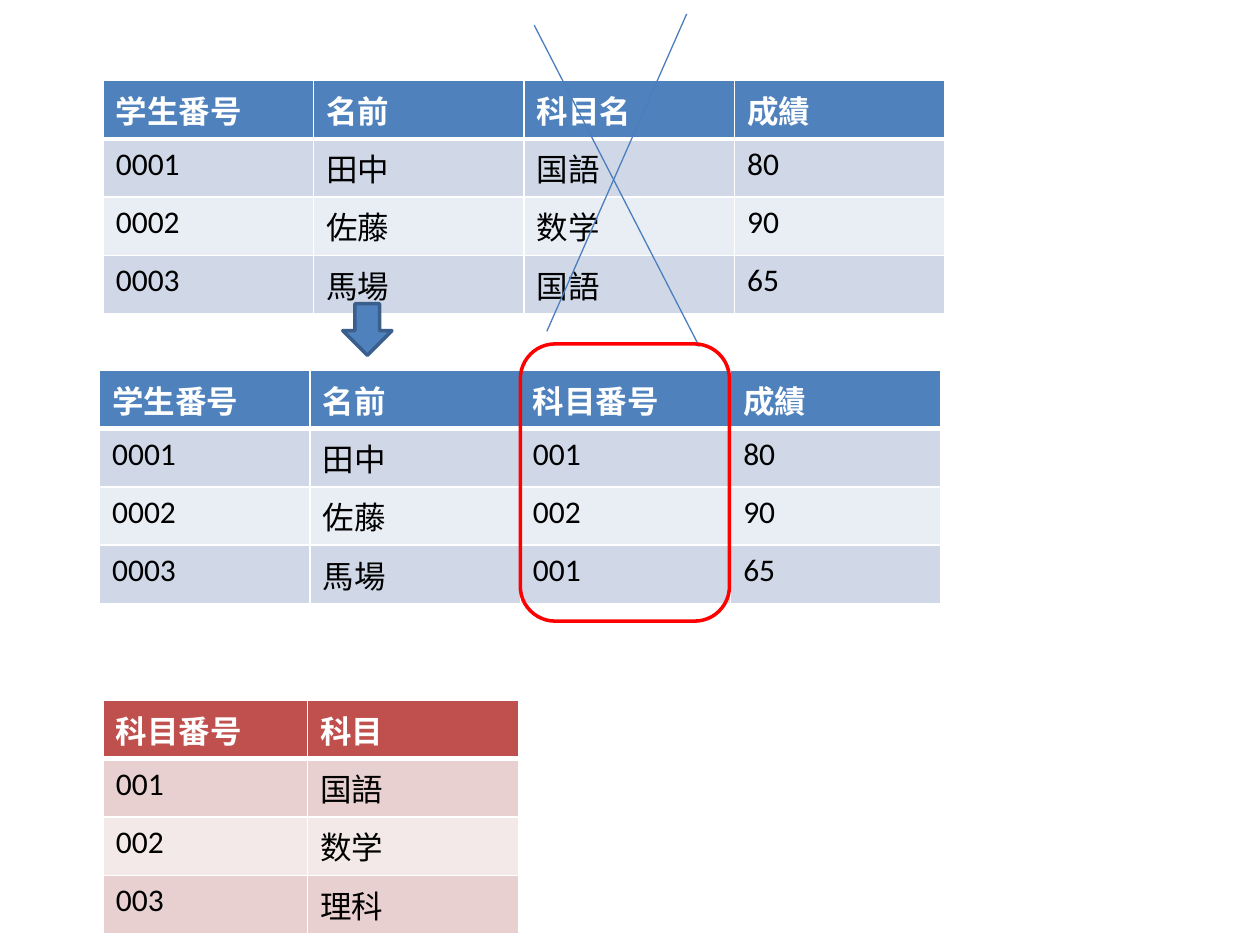
from lxml.etree import SubElement as Sub
from pptx import Presentation
from pptx.dml.color import RGBColor as RGB
from pptx.enum.shapes import MSO_CONNECTOR as Link, MSO_SHAPE as Kind
from pptx.oxml.ns import qn
from pptx.util import Inches, Pt

WHITE = RGB(0xFF, 0xFF, 0xFF)
BLACK = RGB(0, 0, 0)
RED = RGB(0xFF, 0, 0)
BLUE = RGB(0x4F, 0x81, 0xBD)
EDGE = RGB(0x3A, 0x5F, 0x8C)
CROSS = RGB(0x4B, 0x7E, 0xBC)
# Header, odd row and even row fills
BLUES = BLUE, RGB(0xD0, 0xD8, 0xE8), RGB(0xE9, 0xED, 0xF4)
REDS = RGB(0xC0, 0x50, 0x4D), RGB(0xE8, 0xD0, 0xD0), RGB(0xF4, 0xE9, 0xE9)

SUBJECTS = [
    ["科目番号", "科目"],
    ["001", "国語"],
    ["002", "数学"],
    ["003", "理科"],
]
STUDENTS = [("0001", "田中", "80"), ("0002", "佐藤", "90"), ("0003", "馬場", "65")]


def grades(head, items):
    """Return the student rows with one subject column put in."""
    rows = [["学生番号", "名前", head, "成績"]]
    for (code, name, mark), item in zip(STUDENTS, items):
        rows.append([code, name, item, mark])
    return rows


class Page:
    font = "Calibri"
    size = Pt(18)
    row = Inches(0.41)

    def __init__(self, slide):
        self.shapes = slide.shapes

    def border(self, cell, **sides):
        """Draw white cell borders, with widths in points by side."""
        props = cell._tc.get_or_add_tcPr()
        for side in "LRTB":
            line = Sub(props, qn(f"a:ln{side}"), w=str(Pt(sides.get(side, 1))))
            fill = Sub(line, qn("a:solidFill"))
            Sub(fill, qn("a:srgbClr"), val=str(WHITE))

    def table(self, left, top, cols, rows, fills):
        frame = self.shapes.add_table(
            len(rows), len(cols), Inches(left), Inches(top),
            Inches(sum(cols)), self.row * len(rows))
        grid = frame.table
        for col, width in zip(grid.columns, cols):
            col.width = Inches(width)
        for i, texts in enumerate(rows):
            grid.rows[i].height = self.row
            head = i == 0
            for j, text in enumerate(texts):
                cell = grid.cell(i, j)
                self.border(cell, T=3 if i == 1 else 1, B=3 if head else 1)
                cell.fill.solid()
                cell.fill.fore_color.rgb = fills[0 if head else 2 - i % 2]
                cell.text_frame.text = text
                font = cell.text_frame.paragraphs[0].runs[0].font
                font.name, font.size, font.bold = self.font, self.size, head
                font.color.rgb = WHITE if head else BLACK

    def line(self, start, end):
        ends = [Inches(n) for n in (*start, *end)]
        line = self.shapes.add_connector(Link.STRAIGHT, *ends)
        line.line.color.rgb = CROSS
        line.line.width = Pt(0.75)
        Sub(line._element.spPr, qn("a:effectLst"))

    def shape(self, kind, box, edge, fill=None):
        shape = self.shapes.add_shape(kind, *[Inches(n) for n in box])
        shape.shadow.inherit = False
        if fill is None:
            shape.fill.background()
        else:
            shape.fill.solid()
            shape.fill.fore_color.rgb = fill
        shape.line.color.rgb = edge
        shape.line.width = Pt(2)


def main():
    deck = Presentation()
    deck.slide_width, deck.slide_height = Inches(10), Inches(7.5)
    page = Page(deck.slides.add_slide(deck.slide_layouts[6]))

    cols = [1.67] * 4
    page.table(0.82, 5.56, [1.62, 1.68], SUBJECTS, REDS)
    page.table(0.82, 0.64, cols, grades("科目名", ["国語", "数学", "国語"]), BLUES)
    page.table(0.79, 2.94, cols, grades("科目番号", ["001", "002", "001"]), BLUES)

    page.line((5.45, 0.11), (4.34, 2.63))
    page.line((4.24, 0.2), (5.55, 2.75))
    page.shape(Kind.DOWN_ARROW, (2.72, 2.41, 0.39, 0.41), EDGE, BLUE)
    page.shape(Kind.ROUNDED_RECTANGLE, (4.13, 2.73, 1.66, 2.2), RED)
    deck.save("out.pptx")


if __name__ == "__main__":
    main()
